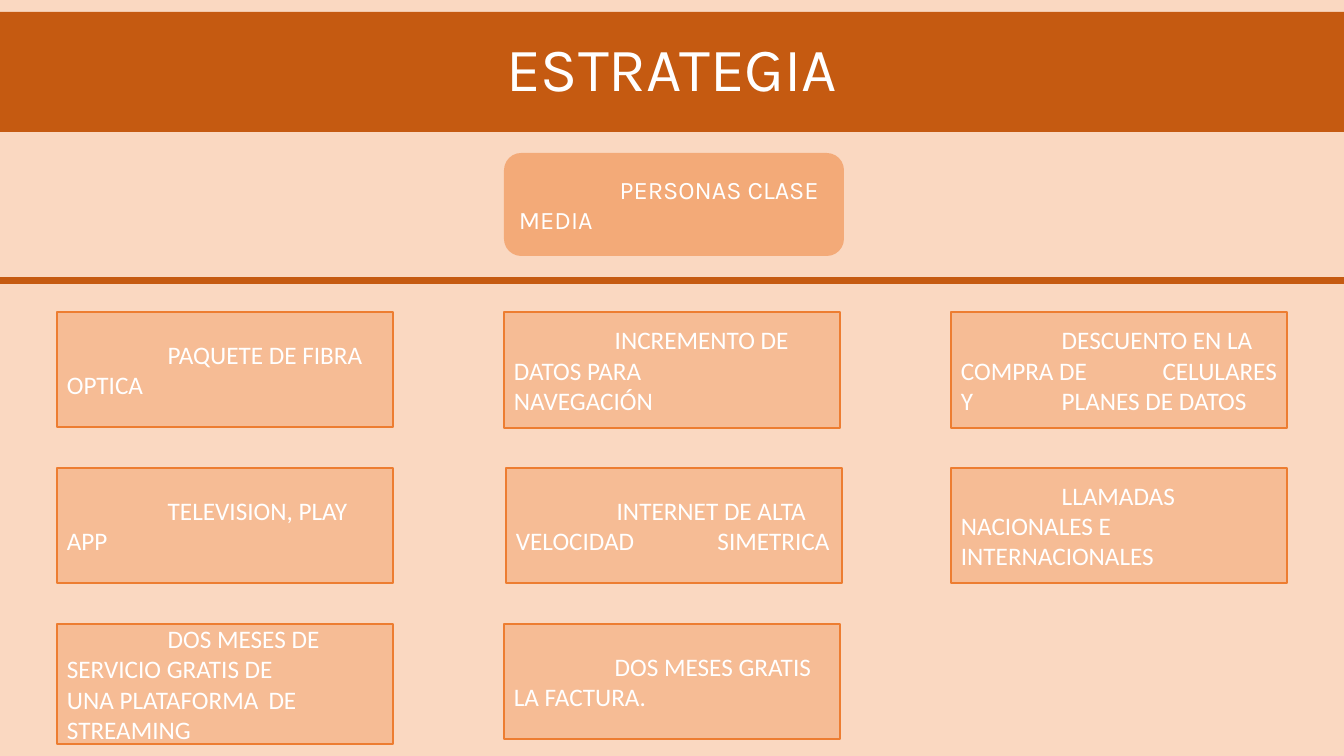
from dataclasses import dataclass
from typing import Optional

import pptx
import pptx.dml.color
import pptx.enum.shapes
import pptx.enum.text
import pptx.oxml
import pptx.oxml.ns
import pptx.util
from lxml import etree

RGBColor = pptx.dml.color.RGBColor
Shape = pptx.enum.shapes.MSO_SHAPE
Align = pptx.enum.text.PP_ALIGN

SLIDE_WIDTH, SLIDE_HEIGHT = 1344, 756
EMU_PER_PX = 12192000 / SLIDE_WIDTH

PEACH = RGBColor(0xFA, 0xD8, 0xC1)
ORANGE = RGBColor(0xED, 0x7D, 0x31)
RUST = RGBColor(0xC5, 0x5A, 0x11)
WHITE = RGBColor(0xFF, 0xFF, 0xFF)

COLUMN_LEFT, COLUMN_STEP = 57, 447
ROW_TOP, ROW_STEP = 312, 156
OFFER_WIDTH, OFFER_HEIGHT = 336, 115
TAB_STOPS_IN = (1, 2, 3)


@dataclass(frozen=True)
class Panel:
    left: int
    top: int
    width: int
    height: int
    fill: RGBColor
    text: str = ""
    font: str = "Calibri"
    size: int = 18
    align: Align = Align.LEFT
    line_spacing: float = 1.0
    opacity: int = 100
    outline: Optional[RGBColor] = None
    geometry: Shape = Shape.RECTANGLE


@dataclass(frozen=True)
class Offer:
    column: int
    row: int
    text: str
    shift: int = 0
    extra_height: int = 0

    def panel(self) -> Panel:
        return Panel(
            COLUMN_LEFT + self.column * COLUMN_STEP + self.shift,
            ROW_TOP + self.row * ROW_STEP,
            OFFER_WIDTH, OFFER_HEIGHT + self.extra_height,
            ORANGE, self.text, opacity=30, outline=ORANGE,
        )


HEADER = [
    Panel(0, 12, SLIDE_WIDTH, 120, RUST, "ESTRATEGIA", "Karla", 44,
          Align.CENTER, 0.9),
    Panel(504, 153, 340, 103, ORANGE, "\tPERSONAS CLASE \tMEDIA", "Karla",
          align=Align.JUSTIFY, opacity=50, geometry=Shape.ROUNDED_RECTANGLE),
    Panel(-7, 278, 1351, 5, RUST, outline=RUST),
]

OFFERS = [
    Offer(0, 0, "\tPAQUETE DE FIBRA \tOPTICA"),
    Offer(1, 0, "\tINCREMENTO DE \tDATOS PARA \tNAVEGACIÓN", extra_height=1),
    Offer(2, 0, "\tDESCUENTO EN LA \tCOMPRA DE \tCELULARES Y \tPLANES DE DATOS",
          extra_height=1),
    Offer(0, 1, "\tTELEVISION, PLAY \tAPP"),
    Offer(1, 1, "\tINTERNET DE ALTA \tVELOCIDAD \tSIMETRICA", shift=2),
    Offer(2, 1, "\tLLAMADAS \tNACIONALES E \tINTERNACIONALES"),
    Offer(0, 2, "\tDOS MESES DE \tSERVICIO GRATIS DE \tUNA PLATAFORMA \tDE STREAMING",
          extra_height=5),
    Offer(1, 2, "\tDOS MESES GRATIS \tLA FACTURA."),
]


def px(length: int) -> int:
    return round(length * EMU_PER_PX)


def set_opacity(shape, percent: int) -> None:
    color = shape.fill._xPr.find(".//" + pptx.oxml.ns.qn("a:srgbClr"))
    alpha = etree.SubElement(color, pptx.oxml.ns.qn("a:alpha"))
    alpha.set("val", str(percent * 1000))


def add_tab_stops(paragraph) -> None:
    properties = paragraph._p.get_or_add_pPr()
    stops = etree.SubElement(properties, pptx.oxml.ns.qn("a:tabLst"))
    for inches in TAB_STOPS_IN:
        stop = etree.SubElement(stops, pptx.oxml.ns.qn("a:tab"))
        stop.set("pos", str(pptx.util.Inches(inches)))
        stop.set("algn", "l")


def write_text(shape, panel: Panel) -> None:
    frame = shape.text_frame
    frame.word_wrap = True
    frame.vertical_anchor = pptx.enum.text.MSO_ANCHOR.MIDDLE
    paragraph = frame.paragraphs[0]
    paragraph.text = panel.text
    paragraph.alignment = panel.align
    paragraph.line_spacing = panel.line_spacing
    if "\t" in panel.text:
        add_tab_stops(paragraph)
    for run in paragraph.runs:
        run.font.name = panel.font
        run.font.size = pptx.util.Pt(panel.size)
        run.font.color.rgb = WHITE


def draw_panel(slide, panel: Panel) -> None:
    shape = slide.shapes.add_shape(
        panel.geometry, px(panel.left), px(panel.top),
        px(panel.width), px(panel.height),
    )
    shape.shadow.inherit = False
    shape.fill.solid()
    shape.fill.fore_color.rgb = panel.fill
    if panel.opacity < 100:
        set_opacity(shape, panel.opacity)
    if panel.outline is None:
        shape.line.fill.background()
    else:
        shape.line.color.rgb = panel.outline
        shape.line.width = pptx.util.Pt(1)
    if panel.text:
        write_text(shape, panel)


def main() -> None:
    presentation = pptx.Presentation()
    presentation.slide_width = px(SLIDE_WIDTH)
    presentation.slide_height = px(SLIDE_HEIGHT)
    slide = presentation.slides.add_slide(presentation.slide_layouts[6])
    slide.background.fill.solid()
    slide.background.fill.fore_color.rgb = PEACH
    for panel in HEADER + [offer.panel() for offer in OFFERS]:
        draw_panel(slide, panel)
    presentation.save("out.pptx")


if __name__ == "__main__":
    main()
